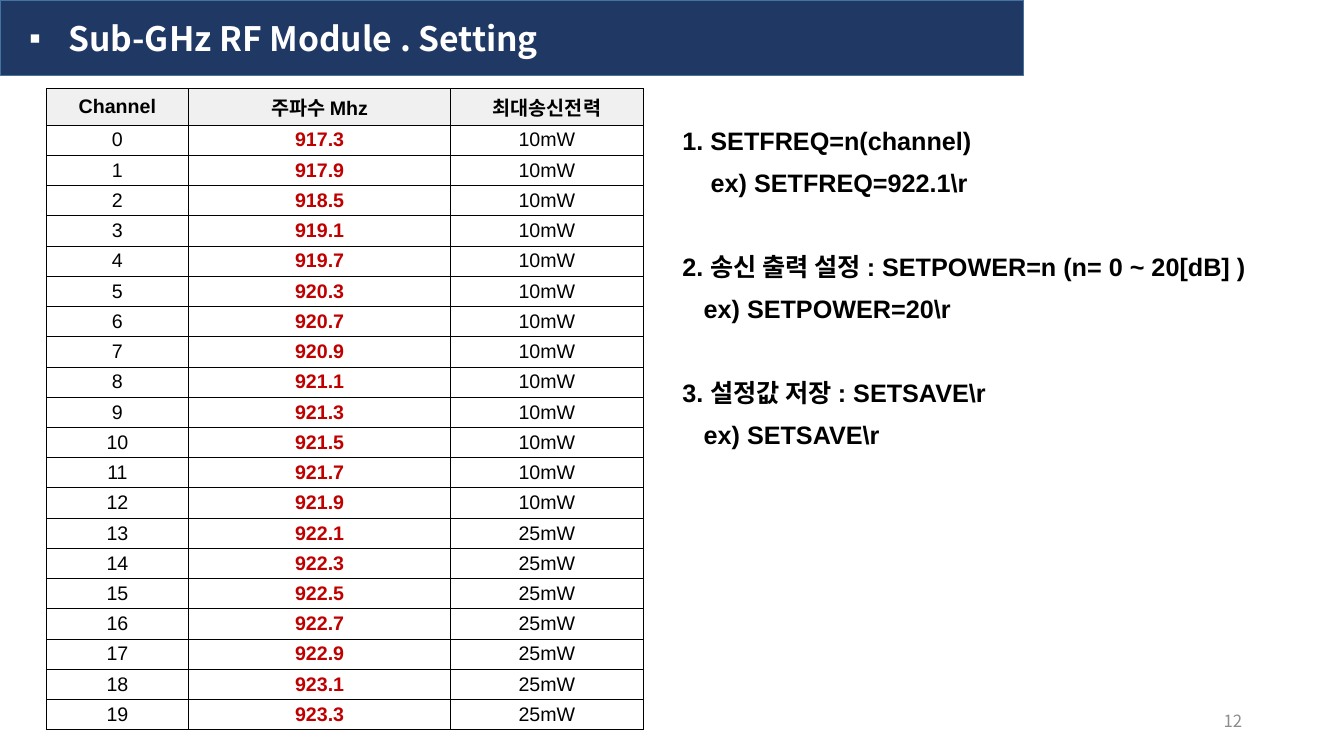
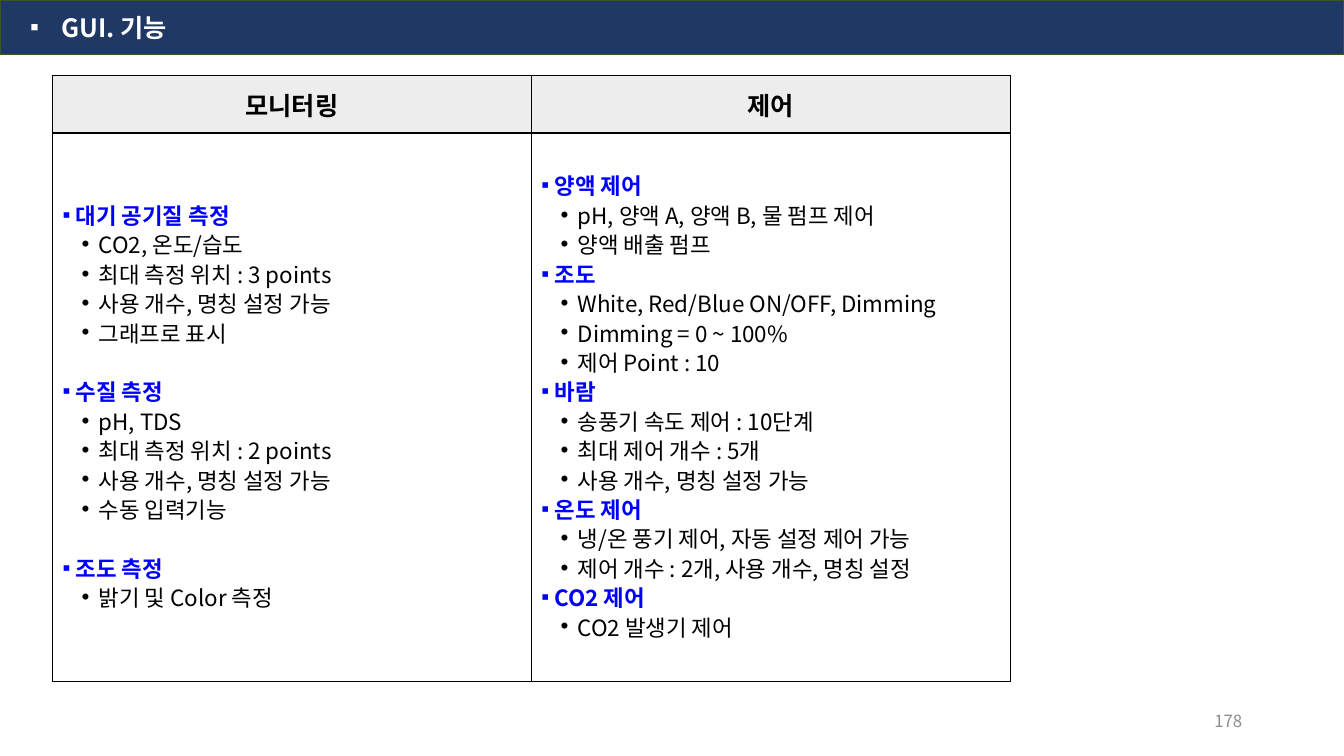
from dataclasses import dataclass

from lxml.etree import SubElement
from pptx import Presentation
from pptx.dml.color import RGBColor
from pptx.enum.shapes import MSO_SHAPE as Shape
from pptx.enum.text import MSO_ANCHOR as Anchor, PP_ALIGN as Align
from pptx.oxml import parse_xml
from pptx.oxml.ns import nsdecls, qn
from pptx.util import Inches, Pt


@dataclass(frozen=True)
class Theme:
    sans: str = "Arial"
    korean: str = "Noto Sans CJK KR"
    black: str = "000000"
    white: str = "FFFFFF"
    navy: str = "203864"
    steel: str = "43739E"
    green: str = "385723"
    red: str = "C00000"
    blue: str = "0000FF"
    grey: str = "8C8C8C"
    channel_header: str = "F0F0F0"
    function_header: str = "EDEDED"
    number_size: int = 12
    channel_size: int = 14
    list_size: int = 16
    body_size: int = 18
    title_size: int = 24
    list_line: int = 21
    command_line: int = 30


THEME = Theme()
CHANNEL_HEADINGS = ("Channel", "주파수 Mhz", "최대송신전력")
FREQUENCIES = [917.3 + 0.6 * step for step in range(6)] + [920.7 + 0.2 * step for step in range(14)]
FIRST_25MW_CHANNEL = 13

# Each command is followed by its example and the example's indent.
COMMANDS = (
    ("1. SETFREQ=n(channel)", "ex) SETFREQ=922.1\\r", 0.28),
    ("2. 송신 출력 설정 : SETPOWER=n (n= 0 ~ 20[dB] )", "ex) SETPOWER=20\\r", 0.21),
    ("3. 설정값 저장 : SETSAVE\\r", "ex) SETSAVE\\r", 0.21),
)

MONITORING = {
    "대기 공기질 측정": ("CO2, 온도/습도", "최대 측정 위치 : 3 points",
                  "사용 개수, 명칭 설정 가능", "그래프로 표시"),
    "수질 측정": ("pH, TDS", "최대 측정 위치 : 2 points",
              "사용 개수, 명칭 설정 가능", "수동 입력기능"),
    "조도 측정": ("밝기 및 Color 측정",),
}
CONTROL = {
    "양액 제어": ("pH, 양액 A, 양액 B, 물 펌프 제어", "양액 배출 펌프"),
    "조도": ("White, Red/Blue ON/OFF, Dimming", "Dimming = 0 ~ 100%", "제어 Point : 10"),
    "바람": ("송풍기 속도 제어 : 10단계", "최대 제어 개수 : 5개", "사용 개수, 명칭 설정 가능"),
    "온도 제어": ("냉/온 풍기 제어, 자동 설정 제어 가능", "제어 개수 : 2개, 사용 개수, 명칭 설정"),
    "CO2 제어": ("CO2 발생기 제어",),
}


class Deck:
    def __init__(self, theme):
        self.theme = theme
        self.prs = Presentation()
        self.prs.slide_width, self.prs.slide_height = Inches(13.33), Inches(7.5)
        self.slide = None

    def new_slide(self, number):
        """Start a slide with its page number."""
        self.slide = self.prs.slides.add_slide(self.prs.slide_layouts[6])
        frame = self.text_box(9.42, 6.95, 3, 0.4)
        frame.vertical_anchor = Anchor.MIDDLE
        self.paragraph(frame, str(number), self.theme.number_size, self.theme.grey,
                       align=Align.RIGHT)

    def title_band(self, title, width, height, outline, size, indent, hanging):
        band = self.slide.shapes.add_shape(
            Shape.RECTANGLE, 0, 0, Inches(width), Inches(height))
        band.shadow.inherit = False
        band.fill.solid()
        band.fill.fore_color.rgb = RGBColor.from_string(self.theme.navy)
        band.line.color.rgb = RGBColor.from_string(outline)
        band.line.width = Pt(1)
        frame = band.text_frame
        frame.word_wrap = True
        frame.vertical_anchor = Anchor.MIDDLE
        self.paragraph(frame, title, size, self.theme.white, True, bullet="▪",
                       indent=indent, hanging=hanging)

    def text_box(self, left, top, width, height):
        frame = self.slide.shapes.add_textbox(
            Inches(left), Inches(top), Inches(width), Inches(height)).text_frame
        frame.word_wrap = True
        return frame

    def paragraph(self, frame, text, size, color, bold=False, font=None, align=Align.LEFT,
                  bullet=None, indent=0, hanging=0, line=None, before=0):
        """Fill the frame's empty first paragraph, or add another one."""
        first = frame.paragraphs[0]
        para = frame.add_paragraph() if first.runs else first
        para.alignment = align
        if line:
            para.line_spacing = Pt(line)
        if before and para is not first:
            para.space_before = Pt(before)
        props = para._p.get_or_add_pPr()
        props.set("marL", str(Inches(indent)))
        props.set("indent", str(-Inches(hanging)))
        if bullet:
            SubElement(props, qn("a:buFont")).set("typeface", self.theme.sans)
            SubElement(props, qn("a:buChar")).set("char", bullet)
        run = para.add_run()
        run.text = text
        run.font.size, run.font.bold = Pt(size), bold
        run.font.color.rgb = RGBColor.from_string(color)
        run.font.name = font or self.theme.korean
        east_asian = parse_xml(f'<a:ea {nsdecls("a")} typeface="{self.theme.korean}"/>')
        run.font._element.find(qn("a:latin")).addnext(east_asian)

    def table(self, left, top, widths, heights, border, header_fill, margins=(0.1, 0.05)):
        table = self.slide.shapes.add_table(
            len(heights), len(widths), Inches(left), Inches(top),
            Inches(sum(widths)), Inches(sum(heights))).table
        table.horz_banding = False
        for column, width in zip(table.columns, widths):
            column.width = Inches(width)
        for index, (row, height) in enumerate(zip(table.rows, heights)):
            row.height = Inches(height)
            for cell in row.cells:
                self.style_cell(cell, border, self.theme.white if index else header_fill, margins)
        return table

    def style_cell(self, cell, border, fill, margins):
        cell.vertical_anchor = Anchor.MIDDLE
        cell.margin_left = cell.margin_right = Inches(margins[0])
        cell.margin_top = cell.margin_bottom = Inches(margins[1])
        cell.fill.solid()
        cell.fill.fore_color.rgb = RGBColor.from_string(fill)
        props = cell._tc.get_or_add_tcPr()
        for position, side in enumerate(("lnL", "lnR", "lnT", "lnB")):
            props.insert(position, parse_xml(
                f'<a:{side} {nsdecls("a")} w="{Pt(border)}"><a:solidFill>'
                f'<a:srgbClr val="{self.theme.black}"/></a:solidFill></a:{side}>'))

    def grouped_list(self, frame, groups, gap=0):
        """Write blue headings, each with its bulleted items."""
        style = self.theme
        for heading, items in groups.items():
            self.paragraph(frame, heading, style.list_size, style.blue, True, bullet="▪",
                           indent=0.13, hanging=0.13, line=style.list_line, before=gap)
            for item in items:
                self.paragraph(frame, item, style.list_size, style.black, bullet="•",
                               indent=0.36, hanging=0.17, line=style.list_line)


def radio_settings(deck):
    style = deck.theme
    deck.new_slide(12)
    deck.title_band("Sub-GHz RF Module . Setting", 10.15, 0.75, style.steel,
                    style.title_size, 0.58, 0.39)
    channels = deck.table(0.46, 0.88, (1.41, 2.6, 1.91), [0.36] + [0.3] * len(FREQUENCIES),
                          0.56, style.channel_header, (0.08, 0.03))
    rows = [CHANNEL_HEADINGS]
    for channel, frequency in enumerate(FREQUENCIES):
        power = "10mW" if channel < FIRST_25MW_CHANNEL else "25mW"
        rows.append((str(channel), f"{frequency:.1f}", power))
    for r, values in enumerate(rows):
        for c, value in enumerate(values):
            is_frequency = r > 0 and c == 1
            deck.paragraph(channels.cell(r, c).text_frame, value, style.channel_size,
                           style.red if is_frequency else style.black,
                           r == 0 or is_frequency, style.sans, Align.CENTER)

    commands = deck.text_box(6.67, 1.08, 6.39, 3.89)
    for command, example, indent in COMMANDS:
        deck.paragraph(commands, command, style.body_size, style.black, True, style.sans,
                       line=style.command_line, before=style.command_line)
        deck.paragraph(commands, example, style.body_size, style.black, True, style.sans,
                       indent=indent, line=style.command_line)


def gui_functions(deck):
    style = deck.theme
    deck.new_slide(178)
    deck.title_band("GUI. 기능", 13.33, 0.54, style.green, style.body_size, 0.51, 0.31)
    functions = deck.table(0.52, 0.75, (4.75, 4.75), (0.57, 5.44), 1, style.function_header)
    columns = (("모니터링", MONITORING, style.list_line), ("제어", CONTROL, 0))
    for c, (heading, groups, gap) in enumerate(columns):
        deck.paragraph(functions.cell(0, c).text_frame, heading, style.body_size, style.black,
                       True, align=Align.CENTER)
        deck.grouped_list(functions.cell(1, c).text_frame, groups, gap)


def main():
    deck = Deck(THEME)
    radio_settings(deck)
    gui_functions(deck)
    deck.prs.save("out.pptx")


if __name__ == "__main__":
    main()
